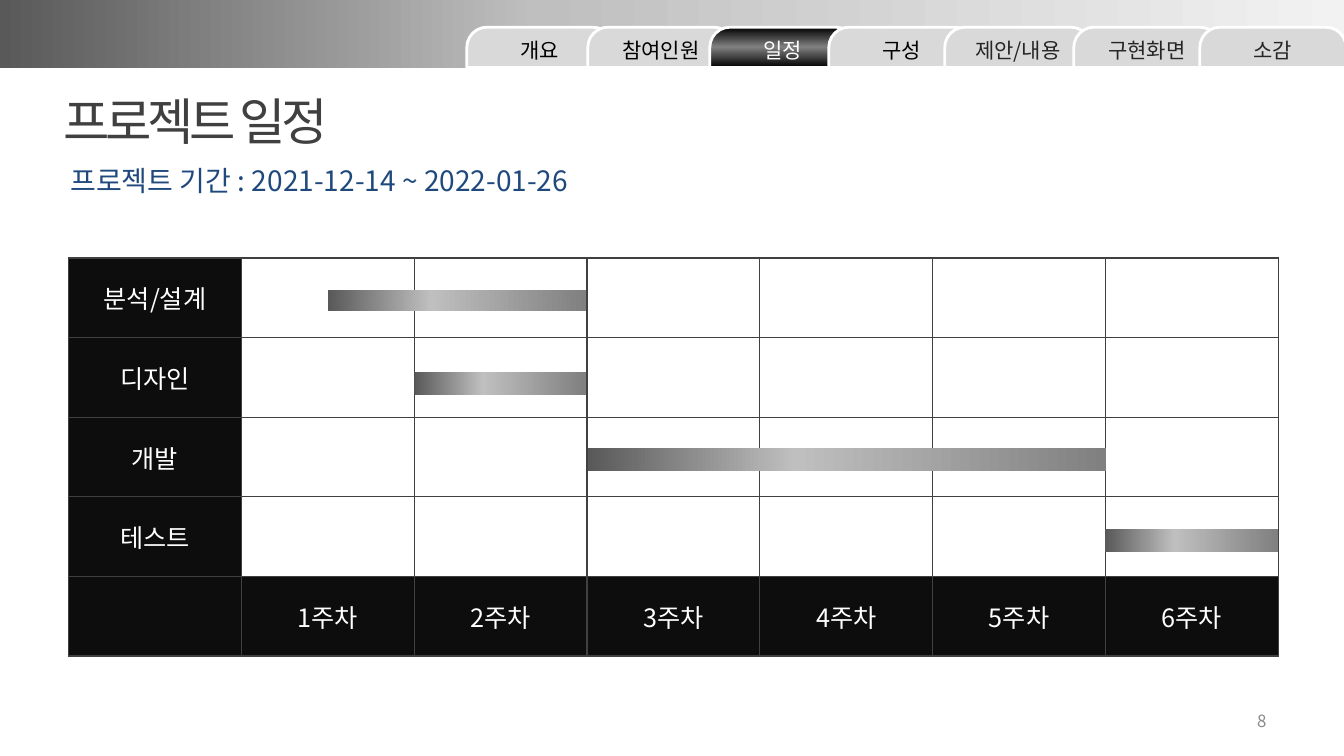
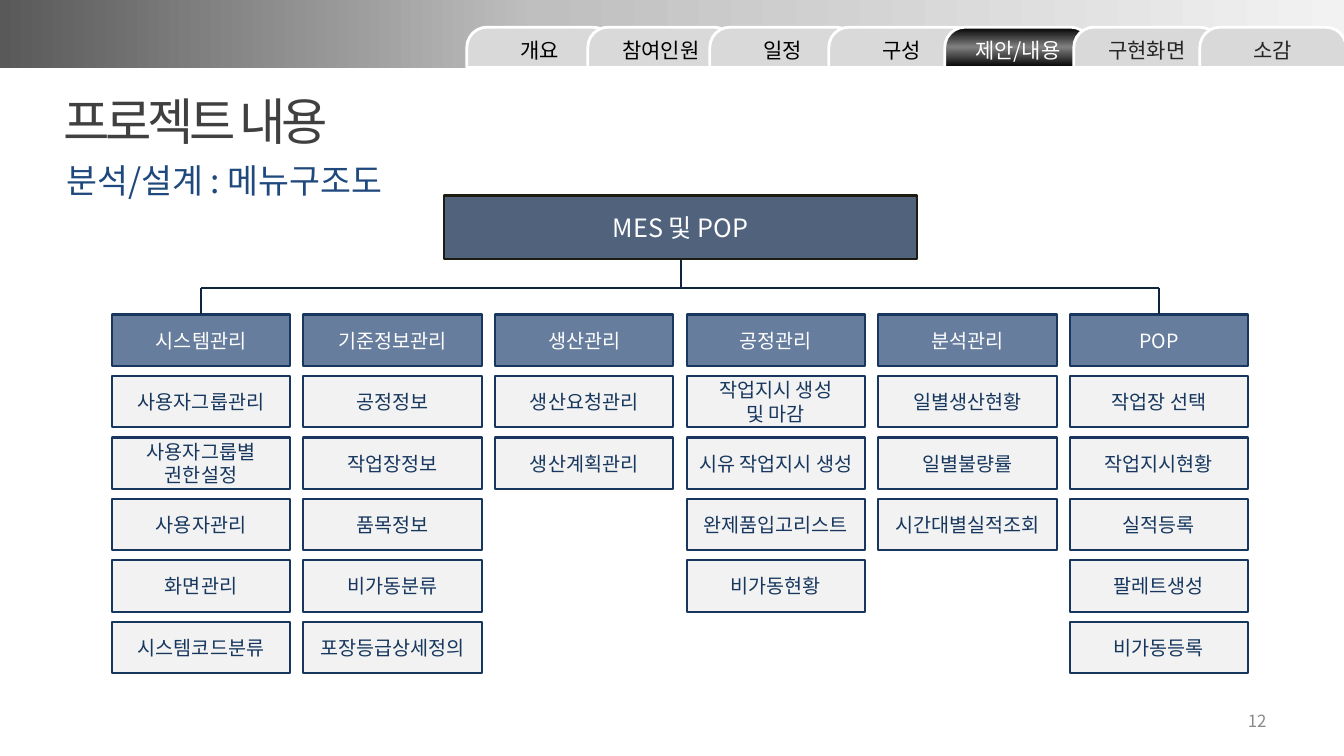
"""Build the project schedule and menu structure slides."""
import copy

import pptx
import pptx.dml.color
import pptx.enum.shapes
import pptx.enum.text
import pptx.oxml
import pptx.oxml.ns
import pptx.util

Inches = pptx.util.Inches
Pt = pptx.util.Pt
RGB = pptx.dml.color.RGBColor
Align = pptx.enum.text.PP_ALIGN
Anchor = pptx.enum.text.MSO_ANCHOR
Shape = pptx.enum.shapes.MSO_SHAPE
qn = pptx.oxml.ns.qn

FONT = "Noto Sans CJK KR"
WHITE = RGB(0xFF, 0xFF, 0xFF)
BLACK = RGB(0, 0, 0)
COAL = RGB(0x0D, 0x0D, 0x0D)
DARK = RGB(0x26, 0x26, 0x26)
SLATE = RGB(0x40, 0x40, 0x40)
GRAY = RGB(0x59, 0x59, 0x59)
MID = RGB(0x80, 0x80, 0x80)
DIM = RGB(0x89, 0x89, 0x89)
SILVER = RGB(0xBF, 0xBF, 0xBF)
LIGHT = RGB(0xD9, 0xD9, 0xD9)
PALE = RGB(0xF2, 0xF2, 0xF2)
BLUE = RGB(0x1F, 0x49, 0x7D)
NAVY = RGB(0x17, 0x37, 0x5E)
INK = RGB(0x0F, 0x24, 0x3E)
STEEL = RGB(0x67, 0x7D, 0x9D)
ROOT = RGB(0x50, 0x62, 0x7C)
EDGE = RGB(0x1E, 0x1C, 0x11)

BAND = [(0, GRAY), (0.4, SILVER), (1, PALE)]
BAR = [(0, GRAY), (0.4, SILVER), (1, MID)]
GLOSS = [(0, BLACK), (0.51, MID), (1, BLACK)]


def write(frame, text, size, color, align=Align.CENTER, wrap=True):
    """Fill a text frame, one paragraph a line."""
    frame.word_wrap = wrap
    frame.text = text
    for para in frame.paragraphs:
        para.alignment = align
        for run in para.runs:
            style = {"size": Pt(size), "name": FONT}
            for key, value in style.items():
                setattr(run.font, key, value)
            run.font.color.rgb = color
            east = pptx.oxml.parse_xml(
                f'<a:ea {pptx.oxml.ns.nsdecls("a")} typeface="{FONT}"/>')
            run.font._element.find(qn("a:latin")).addnext(east)


def box(slide, place, fill, line=None, width=1.5, kind=Shape.RECTANGLE, angle=0):
    """Add a shape with a solid fill or a list of gradient stops."""
    shape = slide.shapes.add_shape(kind, *map(Inches, place))
    shape.shadow.inherit = False
    if isinstance(fill, list):
        shape.fill.gradient()
        shape.fill.gradient_angle = angle
        stops = shape._element.spPr.find(".//" + qn("a:gsLst"))
        stops.append(copy.deepcopy(stops[0]))
        for stop, (pos, color) in zip(shape.fill.gradient_stops, fill):
            stop.position = pos
            stop.color.rgb = color
    else:
        shape.fill.solid()
        shape.fill.fore_color.rgb = fill
    if line is None:
        shape.line.fill.background()
    else:
        shape.line.color.rgb = line
        shape.line.width = Pt(width)
    shape.text_frame.vertical_anchor = Anchor.MIDDLE
    return shape


deck = pptx.Presentation()
deck.slide_width = Inches(13.33)
deck.slide_height = Inches(7.5)

tabs = [("개요", 4.63, BLACK), ("참여인원", 5.83, BLACK), ("일정", 7.04, BLACK),
        ("구성", 8.22, BLACK), ("제안/내용", 9.37, DARK),
        ("구현화면", 10.65, DARK), ("소감", 11.9, DARK)]
pages = [("프로젝트 일정", "프로젝트 기간 : 2021-12-14 ~ 2022-01-26", 0.6, 20, "일정", "8"),
         ("프로젝트 내용", "분석/설계 : 메뉴구조도", 0.56, 24, "제안/내용", "12")]

for title, sub, left, size, active, number in pages:
    slide = deck.slides.add_slide(deck.slide_layouts[6])
    box(slide, (0, -0.01, 13.33, 0.68), BAND)
    for name, x, color in tabs:
        on = name == active
        tab = box(slide, (x, 0.27, 1.45, 0.4), GLOSS if on else LIGHT, WHITE, 2,
                  Shape.ROUND_2_SAME_RECTANGLE, 90)
        tab.adjustments[0] = 0.5
        write(tab.text_frame, name, 15, WHITE if on else color)

    head = slide.shapes.add_textbox(*map(Inches, (0.53, 0.84, 3.08, 0.71))).text_frame
    write(head, title, 36, SLATE, Align.LEFT, False)
    head.auto_size = pptx.enum.text.MSO_AUTO_SIZE.SHAPE_TO_FIT_TEXT
    head.paragraphs[0].runs[0].font._element.set("spc", "-300")

    notes = [(sub, (left, 1.62, 8.46, 0.33), size, BLUE, Align.LEFT),
             (number, (9.55, 6.95, 3.11, 0.4), 12, DIM, Align.RIGHT)]
    for text, place, points, color, align in notes:
        frame = slide.shapes.add_textbox(*map(Inches, place)).text_frame
        frame.vertical_anchor = Anchor.MIDDLE
        write(frame, text, points, color, align)

plan, menu = deck.slides

tasks = ["분석/설계", "디자인", "개발", "테스트"]
grid = plan.shapes.add_table(5, 7, *map(Inches, (0.68, 2.56, 12, 3.95))).table
grid.first_row = False
grid.horz_banding = False
for row in grid.rows:
    row.height = Inches(3.95 / 5)
for col in grid.columns:
    col.width = Inches(12 / 7)
for r in range(5):
    for c in range(7):
        cell = grid.cell(r, c)
        props = cell._tc.get_or_add_tcPr()
        for side in "LRTB":
            props.append(pptx.oxml.parse_xml(
                f'<a:ln{side} {pptx.oxml.ns.nsdecls("a")} w="12700"><a:solidFill>'
                f'<a:srgbClr val="{SLATE}"/></a:solidFill></a:ln{side}>'))
        cell.vertical_anchor = Anchor.MIDDLE
        if r < 4 and c > 0:
            cell.fill.background()
            continue
        cell.fill.solid()
        cell.fill.fore_color.rgb = COAL
        if r < 4:
            write(cell.text_frame, tasks[r], 18, WHITE)
        elif c > 0:
            write(cell.text_frame, f"{c}주차", 18, WHITE)

for place in [(3.25, 2.88, 2.56, 0.21), (4.11, 3.69, 1.7, 0.23),
              (5.83, 4.44, 5.14, 0.23), (10.96, 5.25, 1.72, 0.23)]:
    box(plan, place, BAR)

groups = [
    ("시스템관리", ["사용자그룹관리", "사용자그룹별\n권한설정", "사용자관리", "화면관리",
               "시스템코드분류"]),
    ("기준정보관리", ["공정정보", "작업장정보", "품목정보", "비가동분류", "포장등급상세정의"]),
    ("생산관리", ["생산요청관리", "생산계획관리"]),
    ("공정관리", ["작업지시 생성\n및 마감", "시유 작업지시 생성", "완제품입고리스트", "비가동현황"]),
    ("분석관리", ["일별생산현황", "일별불량률", "시간대별실적조회"]),
    ("POP", ["작업장 선택", "작업지시현황", "실적등록", "팔레트생성", "비가동등록"]),
]
root = box(menu, (4.4, 1.94, 4.7, 0.63), ROOT, EDGE)
write(root.text_frame, "MES 및 POP", 18, WHITE)
heads = []
for i, (name, items) in enumerate(groups):
    x = 1.11 + 1.9 * i
    head = box(menu, (x, 3.12, 1.77, 0.51), STEEL, NAVY)
    write(head.text_frame, name, 14, WHITE)
    heads.append(head)
    for j, item in enumerate(items):
        leaf = box(menu, (x, 3.73 + 0.61 * j, 1.77, 0.51), PALE, NAVY)
        write(leaf.text_frame, item, 14, NAVY)

mid, first, last = [s.left + s.width // 2 for s in (root, heads[0], heads[-1])]
rail = Inches(2.86)
links = [(mid, rail, mid, root.top + root.height, root, 2),
         (first, rail, last, rail, None, 0),
         (first, rail, first, heads[0].top, heads[0], 0),
         (last, rail, last, heads[-1].top, heads[-1], 0)]
for x1, y1, x2, y2, goal, site in links:
    link = menu.shapes.add_connector(
        pptx.enum.shapes.MSO_CONNECTOR.STRAIGHT, x1, y1, x2, y2)
    link.line.color.rgb = INK
    link.line.width = Pt(1.5)
    link._element.spPr.append(pptx.oxml.parse_xml(
        f'<a:effectLst {pptx.oxml.ns.nsdecls("a")}/>'))
    if goal is not None:
        link.end_connect(goal, site)

deck.save("out.pptx")
